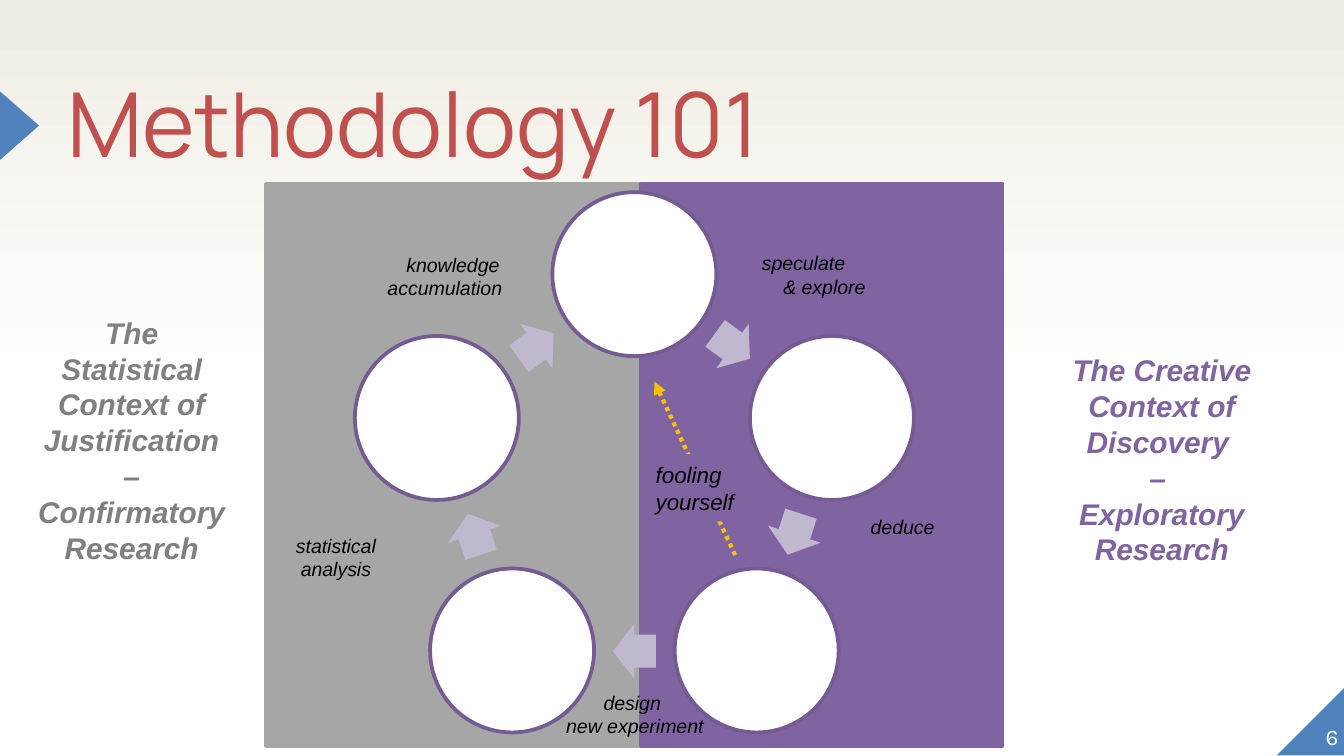
from math import cos, radians, sin

from lxml.etree import SubElement
from pptx import Presentation
from pptx.dml.color import RGBColor
from pptx.enum.dml import MSO_LINE_DASH_STYLE as DASH
from pptx.enum.shapes import MSO_CONNECTOR, MSO_SHAPE as SHAPE
from pptx.enum.text import MSO_ANCHOR as ANCHOR, MSO_AUTO_SIZE as FIT, PP_ALIGN as ALIGN
from pptx.oxml.ns import qn
from pptx.util import Pt

PX = 9144  # 100 px to the inch
SLIDE_WIDTH = 1000 * PX

WHITE = RGBColor(0xFF, 0xFF, 0xFF)
BLACK = RGBColor(0x00, 0x00, 0x00)
CREAM = RGBColor(0xEE, 0xEC, 0xE1)
BLUE = RGBColor(0x4F, 0x81, 0xBD)
RED = RGBColor(0xC0, 0x50, 0x4D)
GRAY = RGBColor(0xA6, 0xA6, 0xA6)
DARK_GRAY = RGBColor(0x80, 0x80, 0x80)
PURPLE = RGBColor(0x80, 0x64, 0xA2)
RING_PURPLE = RGBColor(0x74, 0x5B, 0x93)
LILAC = RGBColor(0xC0, 0xB8, 0xCE)
AMBER = RGBColor(0xFF, 0xC0, 0x00)

STEP_LABEL = {"name": "Arial", "size": Pt(10.5), "italic": True}
WARNING = {"name": "Arial", "size": Pt(12), "italic": True}
CONTEXT = {"name": "Arial", "size": Pt(16), "bold": True, "italic": True}
TITLE = {"name": "Manrope", "size": Pt(48)}
NUMBER = {"name": "Karla", "size": Pt(12)}
NO_MARGINS = {f"margin_{side}": 0 for side in ("left", "top", "right", "bottom")}


def px(*lengths):
    return [length * PX for length in lengths]


def apply(target, values):
    for name, value in values.items():
        setattr(target, name, value)


class SlideBuilder:
    def __init__(self, slide):
        self.slide = slide
        self.shapes = slide.shapes

    def background(self, base, top):
        fill = self.slide.background.fill
        fill.gradient()
        fill.gradient_angle = 90
        for stop, color, position in zip(fill.gradient_stops, (base, top), (0.5, 1)):
            stop.color.rgb = color
            stop.position = position

    def shape(self, kind, box, fill, line=None, rotation=0, adjustments=()):
        shape = self.shapes.add_shape(kind, *px(*box))
        shape.shadow.inherit = False
        shape.rotation = rotation
        shape.fill.solid()
        shape.fill.fore_color.rgb = fill
        if line is None:
            shape.line.fill.background()
        else:
            shape.line.color.rgb = line
            shape.line.width = Pt(2)
        for index, value in enumerate(adjustments):
            shape.adjustments[index] = value
        return shape

    def set_text(self, shape, paragraphs, font, color, align=ALIGN.LEFT, spacing=None,
                 **frame_format):
        """Fill a shape with paragraphs, each a string or (string, first-line indent in px)."""
        frame = shape.text_frame
        apply(frame, {"word_wrap": True, "vertical_anchor": ANCHOR.TOP,
                      "auto_size": FIT.SHAPE_TO_FIT_TEXT, **frame_format})
        for index, entry in enumerate(paragraphs):
            text, indent = entry if isinstance(entry, tuple) else (entry, 0)
            paragraph = frame.add_paragraph() if index else frame.paragraphs[0]
            apply(paragraph, {"alignment": align, "line_spacing": spacing})
            if indent:
                paragraph._p.get_or_add_pPr().set("indent", str(indent * PX))
            run = paragraph.add_run()
            run.text = text
            apply(run.font, font)
            run.font.color.rgb = color

    def label(self, box, *args, **kwargs):
        self.set_text(self.shapes.add_textbox(*px(*box)), *args, **kwargs)

    def title(self, box, text):
        title = self.shapes.title
        apply(title, dict(zip(("left", "top", "width", "height"), px(*box))))
        self.set_text(title, [text], TITLE, RED, spacing=0.8, auto_size=FIT.NONE, **NO_MARGINS)

    def dotted_arrow(self, start, end, color):
        arrow = self.shapes.add_connector(MSO_CONNECTOR.STRAIGHT, *px(*start, *end))
        apply(arrow.line, {"width": Pt(2.25), "dash_style": DASH.ROUND_DOT})
        arrow.line.color.rgb = color
        SubElement(arrow.line._get_or_add_ln(), qn("a:tailEnd"), type="triangle")
        SubElement(arrow._element.spPr, qn("a:effectLst"))

    def cycle(self, center, steps, step_radius, arrow_radius):
        """Place circles clockwise from the top, with an arrow halfway to each next one."""
        def box_at(angle, radius, width, height):
            x = center[0] + radius * sin(radians(angle))
            y = center[1] - radius * cos(radians(angle))
            return round(x - width / 2), round(y - height / 2), width, height

        turn = 360 / steps
        for step in range(steps):
            angle = step * turn
            halfway = angle + turn / 2
            self.shape(SHAPE.OVAL, box_at(angle, step_radius, 122, 122), WHITE, RING_PURPLE)
            self.shape(SHAPE.RIGHT_ARROW, box_at(halfway, arrow_radius, 32, 41), LILAC,
                       rotation=halfway, adjustments=(0.6, 0.5))


def main():
    deck = Presentation()
    deck.slide_width = SLIDE_WIDTH
    deck.slide_height = SLIDE_WIDTH * 9 // 16
    builder = SlideBuilder(deck.slides.add_slide(deck.slide_layouts[5]))

    builder.background(WHITE, CREAM)
    corner = builder.shape(SHAPE.RIGHT_TRIANGLE, (950, 511, 51, 51), BLUE)
    corner._element.spPr.xfrm.set("flipH", "1")
    builder.shape(SHAPE.ISOSCELES_TRIANGLE, (-11, 79, 51, 29), BLUE, rotation=90)
    builder.title((50, 66, 681, 118), "Methodology 101")
    builder.label((946, 507, 50, 51), ["6"], NUMBER, WHITE, ALIGN.RIGHT,
                  vertical_anchor=ANCHOR.BOTTOM, auto_size=FIT.NONE, **NO_MARGINS)

    for left, width, color in ((198, 279, GRAY), (477, 269, PURPLE)):
        builder.shape(SHAPE.RECTANGLE, (left, 137, width, 418), color, color)
    builder.cycle((472, 359), steps=5, step_radius=155, arrow_radius=125)

    step_labels = [
        ((557, 182, 155, 45), ["speculate", ("& explore", 16)], ALIGN.LEFT),
        ((638, 378, 155, 28), ["deduce"], ALIGN.LEFT),
        ((386, 509, 173, 45), ["design ", "new experiment"], ALIGN.CENTER),
        ((203, 392, 94, 45), ["statistical analysis"], ALIGN.CENTER),
        ((275, 183, 112, 45), [("knowledge accumulation", 12)], ALIGN.CENTER),
    ]
    for box, paragraphs, align in step_labels:
        builder.label(box, paragraphs, STEP_LABEL, BLACK, align)

    builder.dotted_arrow((547, 413), (487, 284), AMBER)
    warning = builder.shape(SHAPE.RECTANGLE, (478, 338, 79, 50), PURPLE)
    builder.set_text(warning, ["fooling", "yourself"], WARNING, BLACK)

    contexts = [
        ((760, 257, 209, 172), PURPLE,
         ["The Creative Context of Discovery ", "– ", "Exploratory Research"]),
        ((16, 229, 164, 199), DARK_GRAY,
         ["The Statistical Context of Justification – Confirmatory Research"]),
    ]
    for box, color, paragraphs in contexts:
        builder.label(box, paragraphs, CONTEXT, color, ALIGN.CENTER)

    deck.save("out.pptx")


if __name__ == "__main__":
    main()
